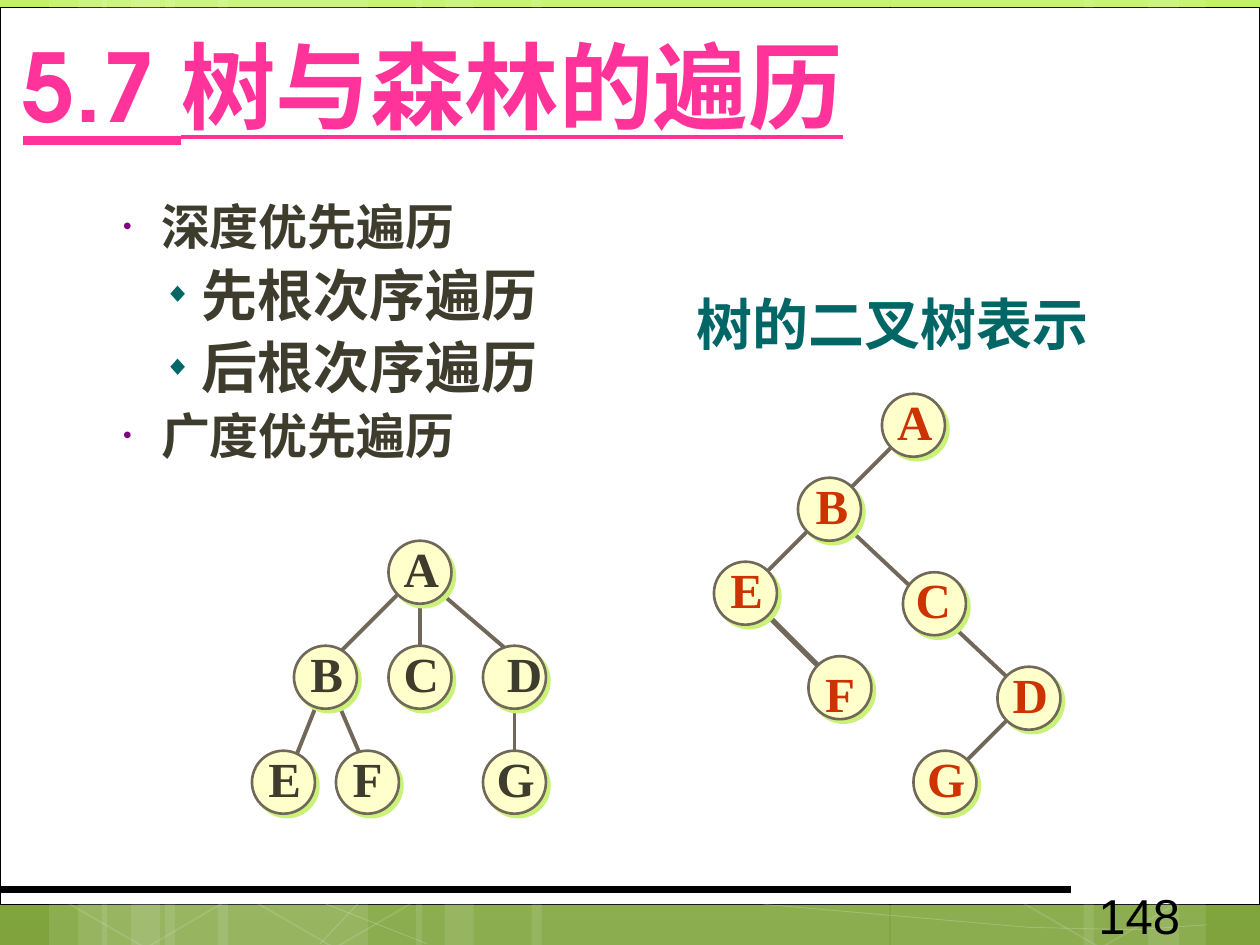
from lxml import etree
from pptx import Presentation
from pptx.dml.color import RGBColor
from pptx.enum.shapes import MSO_CONNECTOR, MSO_SHAPE
from pptx.enum.text import MSO_ANCHOR, PP_ALIGN
from pptx.oxml import parse_xml
from pptx.oxml.ns import qn
from pptx.util import Inches, Pt

RECT, OVAL, HEXAGON = MSO_SHAPE.RECTANGLE, MSO_SHAPE.OVAL, MSO_SHAPE.HEXAGON
STRAIGHT = MSO_CONNECTOR.STRAIGHT
TOP, MIDDLE = MSO_ANCHOR.TOP, MSO_ANCHOR.MIDDLE
LEFT, CENTER = PP_ALIGN.LEFT, PP_ALIGN.CENTER
NS = 'xmlns:a="http://schemas.openxmlformats.org/drawingml/2006/main"'
CELL = Inches(1 / 12)  # tree grid
Y0 = CELL / 2
NODE = 6 * CELL
DARK, RED, TEAL, EDGE = "3E3D2D", "CC3300", "006666", "71685A"


def paint(shape, fill=None, line=None, width=1, alpha=100, line_alpha=100):
    """Set fill and line as hex colours with opacity in percent."""
    if hasattr(shape, "shadow"):
        shape.shadow.inherit = False
    else:
        etree.SubElement(shape._element.spPr, qn("a:effectLst"))
    parts = [(shape.line.fill, line, line_alpha)]
    if hasattr(shape, "fill"):
        parts.append((shape.fill, fill, alpha))
    for part, color, opacity in parts:
        if color is None:
            part.background()
            continue
        part.solid()
        part.fore_color.rgb = RGBColor.from_string(color)
    if line:
        shape.line.width = Pt(width)
    for clr in shape._element.spPr.iter(qn("a:srgbClr")):
        in_line = clr.getparent().getparent().tag == qn("a:ln")
        opacity = line_alpha if in_line else alpha
        if opacity < 100:
            etree.SubElement(clr, qn("a:alpha"), val=str(opacity * 1000))


def write(box, lines, font, color, bold=True, align=LEFT, anchor=TOP, wrap=True):
    """Fill a text box with (text, size) lines."""
    tf = box.text_frame
    tf.word_wrap, tf.vertical_anchor = wrap, anchor
    tf.text = "\n".join(text for text, size in lines)
    for p, (text, size) in zip(tf.paragraphs, lines):
        p.alignment = align
        f = p.runs[0].font
        f.name, f.size, f.bold = font, Pt(size), bold
        f.color.rgb = RGBColor.from_string(color)
        etree.SubElement(f._element, qn("a:ea"), typeface="Noto Sans CJK JP")
    return tf


prs = Presentation()
prs.slide_width, prs.slide_height = Inches(10), Inches(7.5)
W, H = prs.slide_width, prs.slide_height
s = prs.slides.add_slide(prs.slide_layouts[6])
sp_tree = s.shapes

# Green gradient background
bg = s.background.fill
bg.gradient()
grad = bg._xPr.find(qn("a:gradFill"))
for child in list(grad):
    grad.remove(child)
stops = etree.SubElement(grad, qn("a:gsLst"))
for pos, color in [(0, "C2F35F"), (62, "92BE3F"), (100, "80A33D")]:
    gs = etree.SubElement(stops, qn("a:gs"), pos=str(pos * 1000))
    etree.SubElement(gs, qn("a:srgbClr"), val=color)
etree.SubElement(grad, qn("a:lin"), ang="5400000", scaled="0")

# White page
page = sp_tree.add_shape(RECT, 0, Inches(0.06), W, Inches(7.12))
paint(page, "FFFFFF", "000000", 0.5)

# Translucent stripes
for x, w in [(1.31, 1.61), (0.39, 0.46), (0.62, 0.77), (1.73, 1.62), (0.81, 0.46),
             (1.04, 0.77), (7.07, 1.61), (9.11, 0.46), (8.6, 0.76), (4.22, 2.84),
             (3.3, 0.46), (3.53, 0.77)]:
    paint(sp_tree.add_shape(RECT, Inches(x), 0, Inches(w), H), "FFFFFF", alpha=10)

# Faint curves, in hundredths of an inch
for start, *rest in [[(36, 617), (143, 667), (250, 714), (339, 749)],
                     [(37, 578), (149, 616), (359, 673), (609, 718), (816, 736),
                      (901, 738), (958, 734)],
                     [(254, 749), (309, 691), (388, 639), (463, 609), (591, 578),
                      (657, 569), (762, 562), (908, 562), (957, 566)]]:
    fb = sp_tree.build_freeform(*start, scale=W / 1000)
    fb.add_line_segments(rest, close=False)
    paint(fb.convert_to_shape(), None, "FFFFFF", 0.5, line_alpha=20)

# Faint hexagons along the bottom
for x in (0.41, 1.91, 7.99):
    sp = sp_tree.add_shape(HEXAGON, Inches(x), Inches(5.92), Inches(1.61), Inches(1.52))
    sp.adjustments[0], sp.adjustments[1] = 0.285, 1.155
    sp.rotation = 30
    paint(sp, None, "FFFFFF", line_alpha=12)

# Footer rule and page number
rule = sp_tree.add_connector(STRAIGHT, 0, Inches(7.06), Inches(8.5), Inches(7.06))
paint(rule, line="000000", width=4.5)
box = sp_tree.add_textbox(Inches(8.62), Inches(6.98), Inches(1.46), Inches(0.4))
write(box, [("148", 28)], "Arial", "000000", bold=False)

# Title
box = sp_tree.add_textbox(Inches(0.18), Inches(0.21), Inches(9), Inches(0.93))
tf = write(box, [("5.7 树与森林的遍历", 54)], "TeX Gyre Adventor", "FF3399", anchor=MIDDLE)
tf.margin_left = tf.margin_right = tf.margin_top = tf.margin_bottom = 0
tf.paragraphs[0].runs[0].font.underline = True

# Bulleted list
items = [("深度优先遍历", 28), ("先根次序遍历", 32), ("后根次序遍历", 32), ("广度优先遍历", 28)]
box = sp_tree.add_textbox(Inches(0.8), Inches(1.51), Inches(9), Inches(2.6))
tf = write(box, items, "Noto Sans CJK JP", DARK)
for i, (p, level) in enumerate(zip(tf.paragraphs, (0, 1, 1, 0))):
    p.level = level
    if i:
        p.space_before = Pt(3)
    pPr = p._p.get_or_add_pPr()
    pPr.set("marL", str(Inches((0.38, 0.7)[level])))
    pPr.set("indent", str(Inches(-0.3)))
    clr = etree.SubElement(pPr, qn("a:buClr"))
    etree.SubElement(clr, qn("a:srgbClr"), val=("800080", TEAL)[level])
    etree.SubElement(pPr, qn("a:buSzPct"), val="50000")
    etree.SubElement(pPr, qn("a:buFont"), typeface="Arial")
    etree.SubElement(pPr, qn("a:buChar"), char="•◆"[level])

# Caption of the binary tree
box = sp_tree.add_textbox(Inches(5.43), Inches(2.25), Inches(3.42), Inches(0.63))
write(box, [("树的二叉树表示", 32)], "Times New Roman", TEAL)

# Tree edges, in grid cells
for x1, y1, x2, y2, width in [
        (72, 57, 78, 63, 3), (97, 67, 91, 73, 2.25), (49, 66, 49, 72, 2.25),
        (32, 66, 35, 73, 2.25), (30, 67, 28, 72, 2.25), (42, 56, 49, 62, 2.25),
        (40, 57, 40, 62, 2.25), (38, 56, 32, 62, 2.25), (86, 41, 72, 55, 2.25),
        (81, 50, 97, 65, 2.25)]:
    edge = sp_tree.add_connector(STRAIGHT, int(x1 * CELL), int(y1 * CELL + Y0),
                                 int(x2 * CELL), int(y2 * CELL + Y0))
    paint(edge, line=EDGE, width=width)

# Tree nodes: label, column, row, label shift right and down
binary_tree = [("A", 84, 37, 0.01, -0.04), ("B", 76, 45, 0.02, -0.04),
               ("C", 86, 54, -0.01, -0.04), ("E", 68, 53, 0.01, -0.04),
               ("D", 95, 63, 0.01, -0.04), ("G", 87, 71, 0.01, -0.04),
               ("F", 77, 62, 0, 0.04)]
tree = [("A", 37, 51, 0.01, -0.04), ("B", 28, 61, 0.01, -0.04), ("C", 37, 61, 0.01, -0.04),
        ("D", 46, 61, 0.08, -0.04), ("E", 24, 71, 0.01, -0.04), ("F", 32, 71, 0, -0.04),
        ("G", 46, 71, 0.01, -0.04)]
for nodes, color in [(binary_tree, RED), (tree, DARK)]:
    for label, col, row, dx, dy in nodes:
        x, y = int(col * CELL), int(row * CELL + Y0)
        node = sp_tree.add_shape(OVAL, x, y, NODE, NODE)
        paint(node, "FFFFCC", EDGE, 1.5)
        spPr = node._element.spPr
        spPr.remove(spPr.find(qn("a:effectLst")))
        spPr.append(parse_xml(
            f'<a:effectLst {NS}><a:outerShdw dist="35900" dir="2700000" algn="ctr" '
            'rotWithShape="0"><a:srgbClr val="CAF278"/></a:outerShdw></a:effectLst>'))
        box = sp_tree.add_textbox(x + Inches(dx), y + Inches(dy - 0.03), NODE, Inches(0.57))
        write(box, [(label, 28)], "Times New Roman", color,
              align=CENTER, anchor=MIDDLE, wrap=False)

prs.save("out.pptx")
